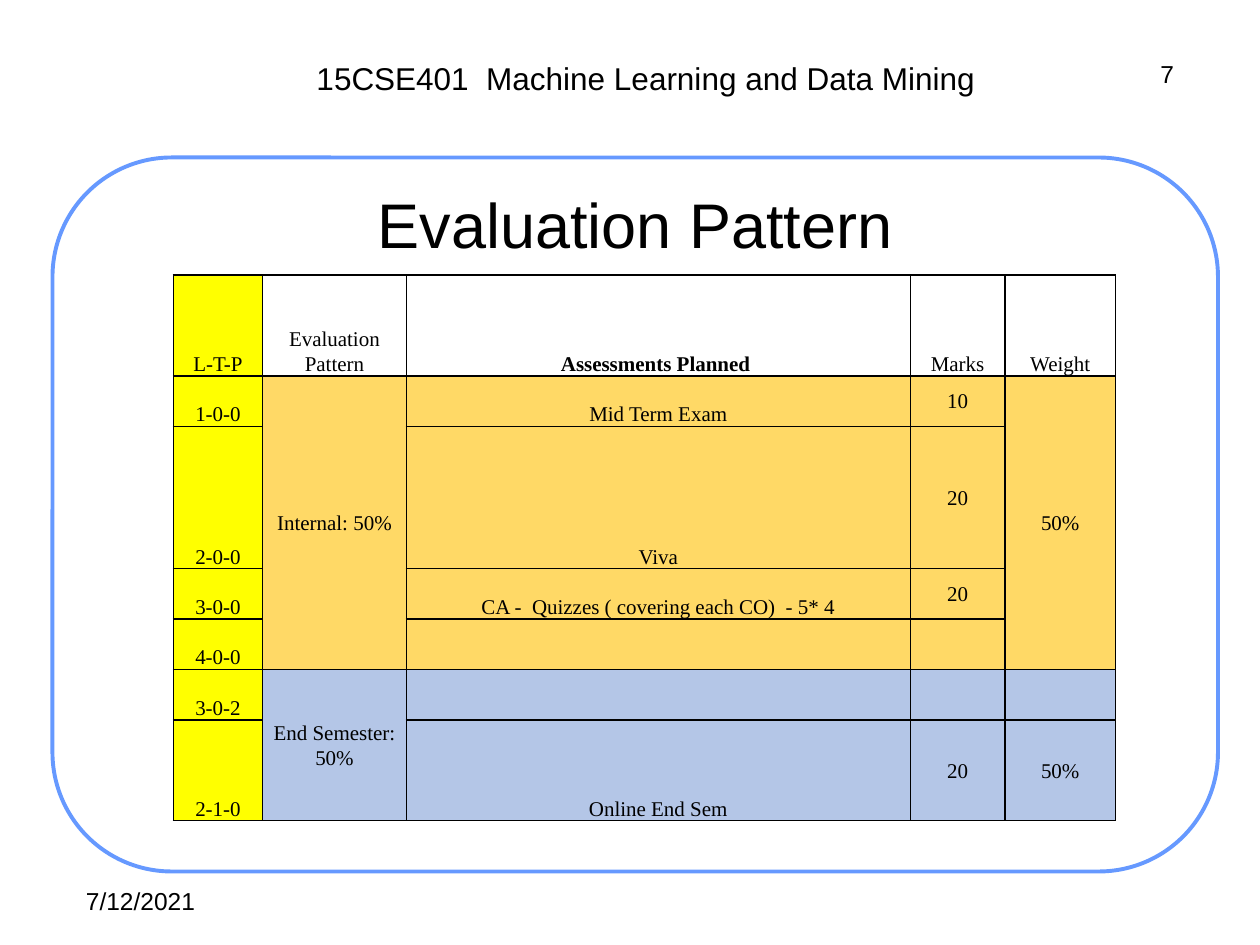
from dataclasses import dataclass

from lxml import etree
from pptx import Presentation
from pptx.dml.color import RGBColor
from pptx.enum.shapes import MSO_SHAPE
from pptx.enum.text import MSO_ANCHOR, PP_ALIGN
from pptx.oxml.ns import qn
from pptx.util import Inches, Pt

LEFT, CENTER, RIGHT = PP_ALIGN.LEFT, PP_ALIGN.CENTER, PP_ALIGN.RIGHT
TOP, MIDDLE, BOTTOM = MSO_ANCHOR.TOP, MSO_ANCHOR.MIDDLE, MSO_ANCHOR.BOTTOM
ROUNDED = MSO_SHAPE.ROUNDED_RECTANGLE
TITLE_ONLY = 5
GRID_COLUMNS, GRID_ROWS = 120, 90


@dataclass(frozen=True)
class Theme:
    ink: str = "000000"
    paper: str = "FFFFFF"
    frame: str = "6699FF"
    credit: str = "FFFF00"
    internal: str = "FFD966"
    semester: str = "B4C6E7"
    sans: str = "Arial"
    serif: str = "Times New Roman"
    title_size: int = 36
    course_size: int = 18
    footer_size: int = 14
    table_size: int = 12
    frame_width: float = 2.25
    border_width: int = 1


@dataclass(frozen=True)
class Area:
    column: float
    row: float
    columns: float
    rows: float


@dataclass(frozen=True)
class Label:
    text: str
    area: Area
    size: int
    align: PP_ALIGN


@dataclass(frozen=True)
class Merge:
    column: int
    first_row: int
    last_row: int


THEME = Theme()
FRAME = Area(5, 15, 111, 68)
TABLE = Area(16.5, 26.2, 89.8, 52)
TITLE = Label("Evaluation Pattern", Area(13, 16, 95, 10.5), THEME.title_size, CENTER)
LABELS = [
    Label("15CSE401  Machine Learning and Data Mining", Area(17, 5, 89, 4.8),
          THEME.course_size, CENTER),
    Label("7", Area(92, 5, 21, 6.25), THEME.footer_size, RIGHT),
    Label("7/12/2021", Area(7, 83.75, 28, 6.25), THEME.footer_size, LEFT),
]
COLUMN_WIDTHS = [0.71, 1.14, 4, 0.75, 0.88]
ROW_HEIGHTS = [0.8, 0.4, 1.13, 0.4, 0.4, 0.4, 0.8]
CELLS = [
    ["L-T-P", "Evaluation Pattern", "Assessments Planned ", "Marks", "Weight"],
    ["1-0-0", "Internal: 50%", "Mid Term Exam", "10", "50%"],
    ["2-0-0", "", "Viva", "20", ""],
    ["3-0-0", "", "CA -  Quizzes ( covering each CO)  - 5* 4", "20", ""],
    ["4-0-0", "", "", "", ""],
    ["3-0-2", "End Semester: 50%", "", "", ""],
    ["2-1-0", "", "Online End Sem", "20", "50%"],
]
MERGES = [Merge(1, 1, 4), Merge(4, 1, 4), Merge(1, 5, 6)]
FIRST_SEMESTER_ROW = 5
ASSESSMENT_COLUMN = 2


def color(value: str) -> RGBColor:
    return RGBColor.from_string(value)


def bounds(deck, area: Area) -> tuple[int, int, int, int]:
    step_x = deck.slide_width / GRID_COLUMNS
    step_y = deck.slide_height / GRID_ROWS
    return (round(area.column * step_x), round(area.row * step_y),
            round(area.columns * step_x), round(area.rows * step_y))


def style_text(text_frame, size: int, font: str, align: PP_ALIGN, bold: bool = False) -> None:
    for para in text_frame.paragraphs:
        para.alignment = align
        for span in para.runs:
            span.font.size = Pt(size)
            span.font.name = font
            span.font.bold = bold
            span.font.color.rgb = color(THEME.ink)


def write_label(box, label: Label, anchor: MSO_ANCHOR) -> None:
    box.text_frame.text = label.text
    box.text_frame.word_wrap = True
    box.text_frame.vertical_anchor = anchor
    style_text(box.text_frame, label.size, THEME.sans, label.align)


def draw_frame(deck, page) -> None:
    frame = page.shapes.add_shape(ROUNDED, *bounds(deck, FRAME))
    frame.adjustments[0] = 0.167
    frame.shadow.inherit = False
    frame.fill.solid()
    frame.fill.fore_color.rgb = color(THEME.paper)
    frame.line.color.rgb = color(THEME.frame)
    frame.line.width = Pt(THEME.frame_width)


def draw_title(deck, page) -> None:
    title = page.shapes.title
    title.left, title.top, title.width, title.height = bounds(deck, TITLE.area)
    write_label(title, TITLE, MIDDLE)
    page.shapes.element.append(title.element)


def border_cell(cell) -> None:
    properties = cell._tc.get_or_add_tcPr()
    for position, side in enumerate(("a:lnL", "a:lnR", "a:lnT", "a:lnB")):
        line = etree.Element(qn(side), w=str(Pt(THEME.border_width)))
        fill = etree.SubElement(line, qn("a:solidFill"))
        etree.SubElement(fill, qn("a:srgbClr"), val=THEME.ink)
        properties.insert(position, line)


def fill_cell(cell, row: int, column: int) -> None:
    if column == 0:
        shade = THEME.credit
    elif row == 0:
        cell.fill.background()
        return
    else:
        shade = THEME.internal if row < FIRST_SEMESTER_ROW else THEME.semester
    cell.fill.solid()
    cell.fill.fore_color.rgb = color(shade)


def write_cell(cell, row: int, column: int, text: str) -> None:
    cell.text_frame.text = text
    cell.margin_left = cell.margin_right = Inches(0.07)
    cell.margin_top = cell.margin_bottom = 0
    low = row == 0 or column in (0, ASSESSMENT_COLUMN)
    cell.vertical_anchor = BOTTOM if low else MIDDLE
    bold = row == 0 and column == ASSESSMENT_COLUMN
    style_text(cell.text_frame, THEME.table_size, THEME.serif, CENTER, bold)
    cell.text_frame.paragraphs[0].line_spacing = 1.07


def draw_table(deck, page) -> None:
    table = page.shapes.add_table(len(CELLS), len(COLUMN_WIDTHS), *bounds(deck, TABLE)).table
    table.first_row = table.horz_banding = False
    for column, width in zip(table.columns, COLUMN_WIDTHS):
        column.width = Inches(width)
    for row, height in zip(table.rows, ROW_HEIGHTS):
        row.height = Inches(height)
    for row, texts in enumerate(CELLS):
        for column, text in enumerate(texts):
            cell = table.cell(row, column)
            write_cell(cell, row, column, text)
            fill_cell(cell, row, column)
            border_cell(cell)
    for merge in MERGES:
        last = table.cell(merge.last_row, merge.column)
        table.cell(merge.first_row, merge.column).merge(last)


def main() -> None:
    deck = Presentation()
    deck.slide_width, deck.slide_height = Inches(10), Inches(7.5)
    page = deck.slides.add_slide(deck.slide_layouts[TITLE_ONLY])
    draw_frame(deck, page)
    draw_title(deck, page)
    for label in LABELS:
        write_label(page.shapes.add_textbox(*bounds(deck, label.area)), label, TOP)
    draw_table(deck, page)
    deck.save("out.pptx")


if __name__ == "__main__":
    main()
